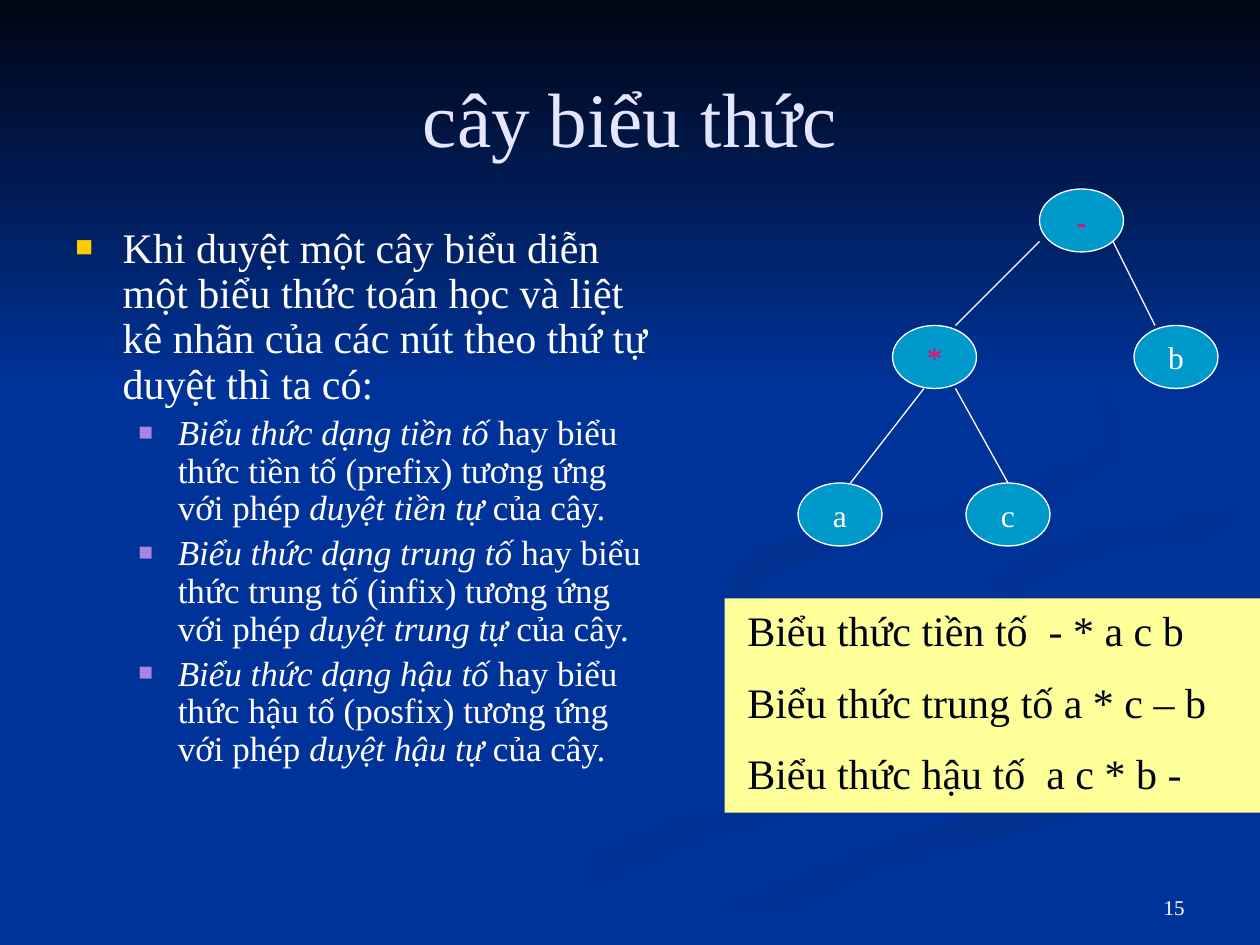
import pptx
import pptx.util
import pptx.dml.color
import pptx.enum.shapes
import pptx.enum.text
import pptx.oxml.ns
import lxml.etree

Pt = pptx.util.Pt
RGB = pptx.dml.color.RGBColor.from_string
SHAPE = pptx.enum.shapes.MSO_SHAPE
ALIGN = pptx.enum.text.PP_ALIGN
ANCHOR = pptx.enum.text.MSO_ANCHOR

FONT = "Times New Roman"
BLUE = RGB("003399")
NIGHT = RGB("000514")
WHITE = RGB("FFFFFF")
LILAC = RGB("E5E5FF")
CYAN = RGB("0099CC")
PINK = RGB("FF0066")
CREAM = RGB("FFFF99")
GOLD = RGB("FFCC00")
VIOLET = RGB("A886E0")
DUSK = RGB("003193")
DEEP = RGB("002F8C")

TITLE = "cây biểu thức"
NUMBER = "15"
LEAD = ("Khi duyệt một cây biểu diễn một biểu thức toán học và liệt kê "
        "nhãn của các nút theo thứ tự duyệt thì ta có:")
FORMS = [("tiền", "prefix"), ("trung", "infix"), ("hậu", "posfix")]
RESULTS = [" Biểu thức tiền tố  - * a c b",
           " Biểu thức trung tố a * c – b",
           " Biểu thức hậu tố  a c * b -"]

WIDE, HIGH = 48, 36
NODES = [("*", 510, 186, PINK), ("a", 456, 276, WHITE), ("c", 552, 276, WHITE),
         ("b", 648, 186, WHITE), ("-", 594, 108, PINK)]
EDGES = [(528, 222, 486, 276), (546, 222, 576, 276),
         (594, 138, 546, 186), (636, 138, 660, 186)]

# Level: size, left indent, hanging indent, space before, bullet colour
LEVELS = [(24, 27, 27, 5, GOLD), (20, 58.5, 22.5, 4, VIOLET)]

# Background ribbons: first colour, last colour, angle, outline
RIBBONS = [
    (BLUE, DUSK, 0, [
        (562, 398), (442, 357), (414, 330), (418, 348), (566, 407), (523, 433),
        (388, 467), (216, 539), (260, 539), (406, 479), (562, 436), (575, 413)]),
    (BLUE, DUSK, 315, [
        (679, 410), (639, 385), (557, 362), (521, 334),
        (544, 364), (661, 414), (644, 436), (671, 424)]),
    (DEEP, BLUE, 270, [
        (362, 539), (411, 539), (500, 498), (719, 438), (719, 418), (501, 482)]),
    (BLUE, BLUE, 0, [
        (522, 334), (558, 362), (662, 394), (677, 420), (535, 463), (343, 539),
        (362, 539), (501, 482), (719, 418), (719, 387), (611, 362), (562, 331),
        (612, 307), (719, 289), (719, 279), (567, 303)]),
    (DUSK, BLUE, 315, [
        (562, 331), (595, 357), (582, 336), (632, 316),
        (719, 302), (719, 289), (611, 307)]),
    (DEEP, BLUE, 315, [
        (492, 310), (594, 289), (640, 261), (634, 221), (549, 168), (626, 215),
        (635, 255), (570, 282), (436, 312), (415, 333), (448, 360), (429, 332)]),
    (NIGHT, BLUE, 270, [(0, 0), (0, 222), (720, 222), (720, 0)]),
]


def put(obj, **vals):
    for key, val in vals.items():
        setattr(obj, key, val)


def write(par, text, size, color, italic=False):
    run = par.add_run()
    run.text = text
    put(run.font, name=FONT, size=Pt(size), italic=italic)
    run.font.color.rgb = color


def tag(up, name, **vals):
    return lxml.etree.SubElement(up, pptx.oxml.ns.qn(name), vals)


def bullet(par, left, hang, color):
    props = par._p.get_or_add_pPr()
    props.set("marL", str(Pt(left)))
    props.set("indent", str(-Pt(hang)))
    tag(tag(props, "a:buClr"), "a:srgbClr", val=str(color))
    tag(props, "a:buSzPct", val="70000")
    tag(props, "a:buFont", typeface=FONT)
    tag(props, "a:buChar", char="■")


def lines(frame):
    """Yield the first paragraph of the frame, then new ones."""
    yield frame.paragraphs[0]
    while True:
        yield frame.add_paragraph()


def box(*place):
    frame = shapes.add_textbox(*map(Pt, place)).text_frame
    frame.word_wrap = True
    return frame


def solid(kind, color, *place):
    shape = shapes.add_shape(kind, *map(Pt, place))
    shape.shadow.inherit = False
    shape.fill.solid()
    shape.fill.fore_color.rgb = color
    return shape


def rule(line):
    line.color.rgb = WHITE
    line.width = Pt(0.75)


deck = pptx.Presentation()
put(deck, slide_width=Pt(720), slide_height=Pt(540))
slide = deck.slides.add_slide(deck.slide_layouts[5])
shapes = slide.shapes
slide.background.fill.solid()
slide.background.fill.fore_color.rgb = BLUE

title = shapes.title
for first, last, angle, dots in RIBBONS:
    pen = shapes.build_freeform(*dots[0], scale=Pt(1))
    pen.add_line_segments(dots[1:], close=True)
    ribbon = pen.convert_to_shape()
    ribbon.shadow.inherit = False
    ribbon.line.fill.background()
    ribbon.fill.gradient()
    ribbon.fill.gradient_angle = angle
    for spot, color in enumerate((first, last)):
        stop = ribbon.fill.gradient_stops[spot]
        stop.color.rgb = color
        stop.position = spot

# Bring the title in front of the ribbons
shapes._spTree.append(title._element)
put(title, left=Pt(36), top=Pt(21.6), width=Pt(648), height=Pt(90))
title.text_frame.vertical_anchor = ANCHOR.MIDDLE
par = title.text_frame.paragraphs[0]
par.alignment = ALIGN.CENTER
write(par, TITLE, 44, LILAC)

frame = box(516, 492, 168, 37.2)
frame.vertical_anchor = ANCHOR.BOTTOM
frame.paragraphs[0].alignment = ALIGN.RIGHT
write(frame.paragraphs[0], NUMBER, 12, WHITE)

items = [(0, [(LEAD, False)])]
for name, term in FORMS:
    items.append((1, [
        (f"Biểu thức dạng {name} tố", True),
        (f" hay biểu thức {name} tố ({term}) tương ứng với phép ", False),
        (f"duyệt {name} tự", True), (" của cây.", False)]))
for (level, runs), par in zip(items, lines(box(36, 126, 348, 356.4))):
    size, left, hang, gap, color = LEVELS[level]
    put(par, level=level, line_spacing=0.9, space_before=Pt(gap))
    bullet(par, left, hang, color)
    for text, italic in runs:
        write(par, text, size, WHITE, italic)

for ends in EDGES:
    edge = shapes.add_connector(pptx.enum.shapes.MSO_CONNECTOR.STRAIGHT,
                                *map(Pt, ends))
    rule(edge.line)
    tag(edge._element.spPr, "a:effectLst")

for text, left, top, color in NODES:
    node = solid(SHAPE.OVAL, CYAN, left, top, WIDE, HIGH)
    rule(node.line)
    put(node.text_frame, word_wrap=False, vertical_anchor=ANCHOR.MIDDLE)
    par = node.text_frame.paragraphs[0]
    par.alignment = ALIGN.CENTER
    write(par, text, 18, color)

panel = solid(SHAPE.RECTANGLE, CREAM, 414, 342, 306, 122.4)
panel.line.fill.background()
put(panel.text_frame, word_wrap=True, vertical_anchor=ANCHOR.TOP)
for text, par in zip(RESULTS, lines(panel.text_frame)):
    put(par, alignment=ALIGN.LEFT, space_before=Pt(12))
    write(par, text, 24, NIGHT)

deck.save("out.pptx")
